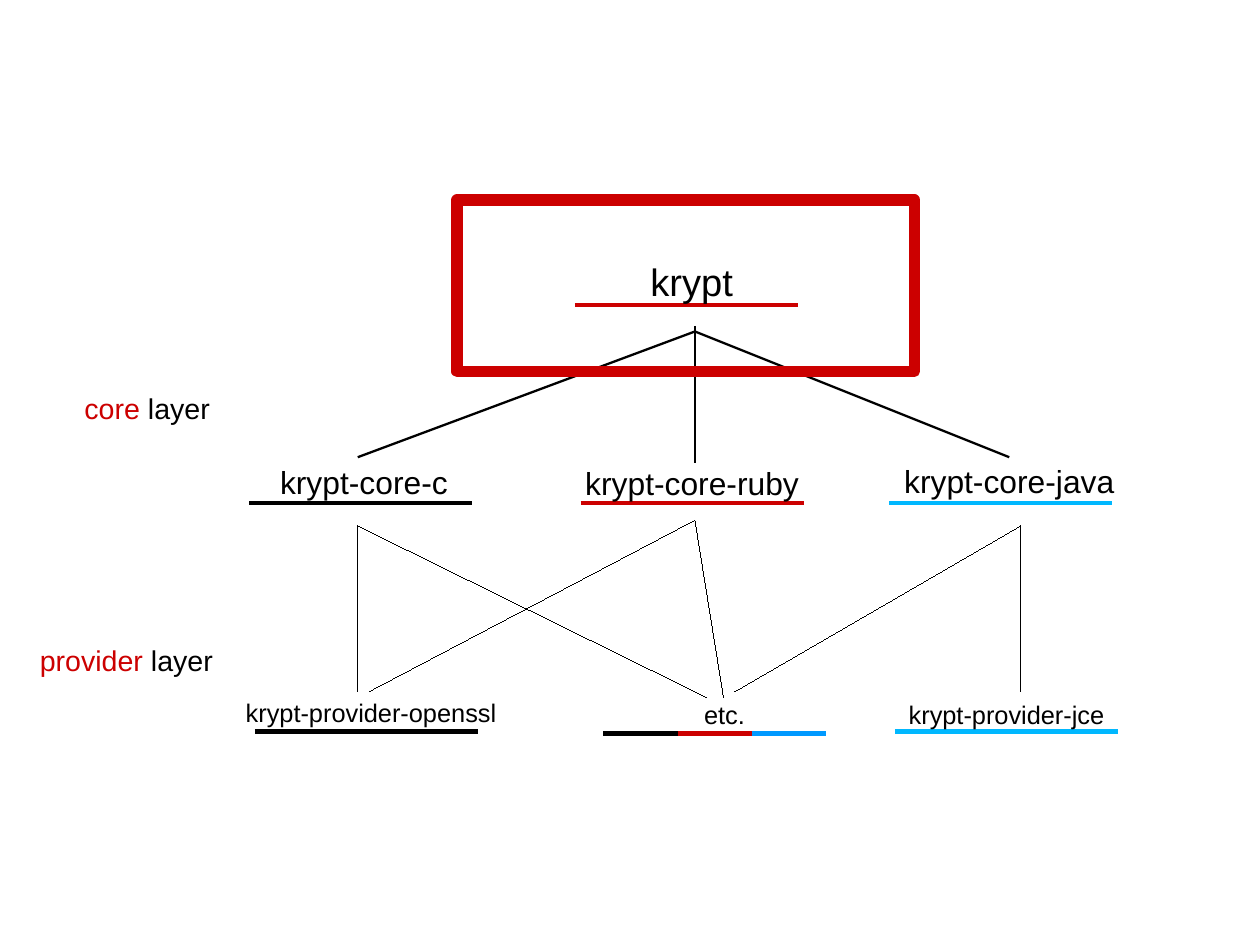
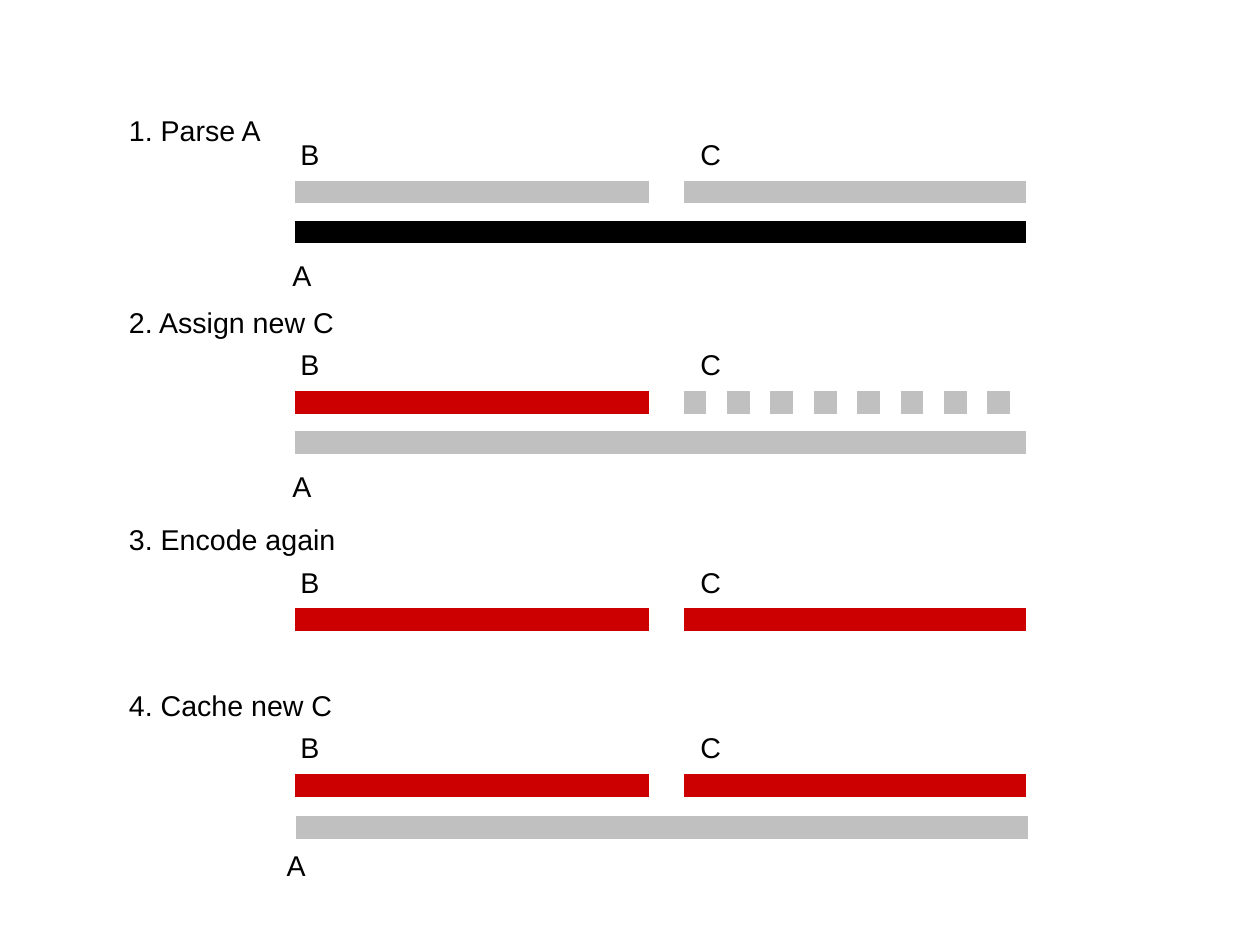
from lxml.etree import SubElement
from pptx import Presentation
from pptx.dml.color import RGBColor
from pptx.enum.shapes import MSO_CONNECTOR, MSO_SHAPE
from pptx.enum.text import MSO_AUTO_SIZE
from pptx.oxml.ns import qn
from pptx.util import Cm, Inches, Pt

COLORS = {
    "black": "000000",
    "red": "CC0000",
    "cyan": "00B8FF",
    "blue": "0099FF",
    "gray": "C0C0C0",
}
FONT = "Arial"
HAIRLINE = 0.01
UNDERLINE_LENGTH = 1.95
LEFT_EDGE, B_END, C_START, RIGHT_EDGE = 2.58, 5.68, 5.98, 8.98


def rgb(color):
    """Return the named palette colour."""
    return RGBColor.from_string(COLORS[color])


def add_text(slide, runs, left, top, width, height=0.38, size=18, inset=(0.1, 0.05), wrap=True):
    """Add a text box from (text, colour) runs, or from one black string."""
    box = slide.shapes.add_textbox(Inches(left), Inches(top), Inches(width), Inches(height))
    frame = box.text_frame
    frame.word_wrap = wrap
    frame.auto_size = MSO_AUTO_SIZE.SHAPE_TO_FIT_TEXT
    frame.margin_left = frame.margin_right = Inches(inset[0])
    frame.margin_top = frame.margin_bottom = Inches(inset[1])
    for text, color in [(runs, "black")] if isinstance(runs, str) else runs:
        run = frame.paragraphs[0].add_run()
        run.text = text
        run.font.name = FONT
        run.font.size = Pt(size)
        run.font.color.rgb = rgb(color)


def add_line(slide, start, end, color="black", width=HAIRLINE, dashed=False):
    """Add a straight line between two points, optionally dashed in squares."""
    points = [Inches(value) for value in (*start, *end)]
    line = slide.shapes.add_connector(MSO_CONNECTOR.STRAIGHT, *points)
    line.line.color.rgb = rgb(color)
    line.line.width = Pt(width)
    properties = line.element.spPr
    if dashed:
        pattern = SubElement(properties.find(qn("a:ln")), qn("a:custDash"))
        SubElement(pattern, qn("a:ds"), d="100000", sp="90000")
    SubElement(properties, qn("a:effectLst"))


def add_underline(slide, left, y, color, length=UNDERLINE_LENGTH):
    """Add the coloured line under a component name."""
    add_line(slide, (left, y), (left + length, y), color, 2.89)


def add_bar(slide, left, right, y, color, dashed=False):
    """Add a thick horizontal bar for an encoded value."""
    add_line(slide, (left, y), (right, y), color, 14.4, dashed)


def add_frame(slide, left, top, width, height, color):
    """Add an unfilled rectangle that highlights an area."""
    frame = slide.shapes.add_shape(
        MSO_SHAPE.RECTANGLE, Inches(left), Inches(top), Inches(width), Inches(height)
    )
    frame.shadow.inherit = False
    frame.fill.background()
    frame.line.color.rgb = rgb(color)
    frame.line.width = Pt(7.2)


def add_step(slide, title, title_top, y, b_color, c_color, a_color=None,
             dashed=False, a_gap=0.35, a_label_gap=0.53, a_shift=0.0, a_label_left=2.46):
    """Add one encoding step with its bars and labels."""
    add_text(slide, title, 1.03, title_top, 2.5)
    add_bar(slide, LEFT_EDGE, B_END, y, b_color)
    add_bar(slide, C_START, RIGHT_EDGE, y, c_color, dashed)
    add_text(slide, "B", 2.53, y - 0.53, 0.36, wrap=False)
    add_text(slide, "C", 6.03, y - 0.53, 0.38, wrap=False)
    if a_color:
        add_bar(slide, LEFT_EDGE + a_shift, RIGHT_EDGE + a_shift, y + a_gap, a_color)
        add_text(slide, "A", a_label_left, y + a_label_gap, 0.36, wrap=False)


def build_architecture(slide):
    """Draw the core and provider layers below the main library."""
    underlines = [
        (5.03, 2.67, "red"),
        (2.18, 4.4, "black"), (5.08, 4.4, "red"), (7.78, 4.4, "cyan"),
        (2.23, 6.4, "black"), (7.83, 6.4, "cyan"),
    ]
    for left, y, color in underlines:
        add_underline(slide, left, y, color)
    for index, color in enumerate(("black", "red", "blue")):
        add_underline(slide, 5.28 + index * 0.65, 6.42, color, 0.65)

    components = [
        ("krypt", 5.57, 2.19, 1.6, 0.51, 24),
        ("krypt-core-c", 2.33, 3.98, 2.45, 0.59, 20),
        ("krypt-core-ruby", 5, 3.99, 2.45, 0.59, 20),
        ("krypt-core-java", 7.79, 3.97, 2.45, 0.59, 20),
        ("krypt-provider-openssl", 2.03, 6.03, 2.45, 0.59, 16),
        ("krypt-provider-jce", 7.83, 6.05, 1.98, 0.63, 16),
        ("etc.", 6.04, 6.05, 1.95, 0.39, 16),
    ]
    for name, left, top, width, height, size in components:
        add_text(slide, name, left, top, width, height, size=size, inset=(0.12, 0.07))

    core_links = [
        ((6.08, 2.85), (6.08, 4.05)),
        ((6.08, 2.9), (3.13, 4)),
        ((6.08, 2.9), (8.83, 4)),
    ]
    for start, end in core_links:
        add_line(slide, start, end, width=1.45)

    provider_links = {
        (3.13, 4.6): [(3.13, 6.05), (6.18, 6.1)],
        (6.08, 4.55): [(3.23, 6.05), (6.33, 6.1)],
        (8.93, 4.6): [(6.43, 6.05), (8.93, 6.05)],
    }
    for core, providers in provider_links.items():
        for provider in providers:
            add_line(slide, core, provider)

    for layer, left, top in (("provider", 0.25, 5.58), ("core", 0.64, 3.37)):
        add_text(slide, [(layer, "red"), (" layer", "black")], left, top, 1.75)
    add_frame(slide, 4, 1.75, 4, 1.5, "red")


def build_encoding(slide):
    """Draw the four steps from parsing to caching."""
    add_step(slide, "1. Parse A", 0.94, 1.68, "gray", "gray", "black")
    add_step(slide, "2. Assign new C", 2.62, 3.52, "red", "gray", "gray", dashed=True)
    add_step(slide, "3. Encode again", 4.52, 5.42, "red", "red")
    add_step(slide, "4. Cache new C", 5.97, 6.87, "red", "red", "gray",
             a_gap=0.37, a_label_gap=0.5, a_shift=0.01, a_label_left=2.41)


def main():
    """Build and save the presentation."""
    presentation = Presentation()
    presentation.slide_width = Cm(28)
    presentation.slide_height = Cm(21)
    blank_layout = presentation.slide_layouts[6]
    for build in (build_architecture, build_encoding):
        build(presentation.slides.add_slide(blank_layout))
    presentation.save("out.pptx")


if __name__ == "__main__":
    main()
